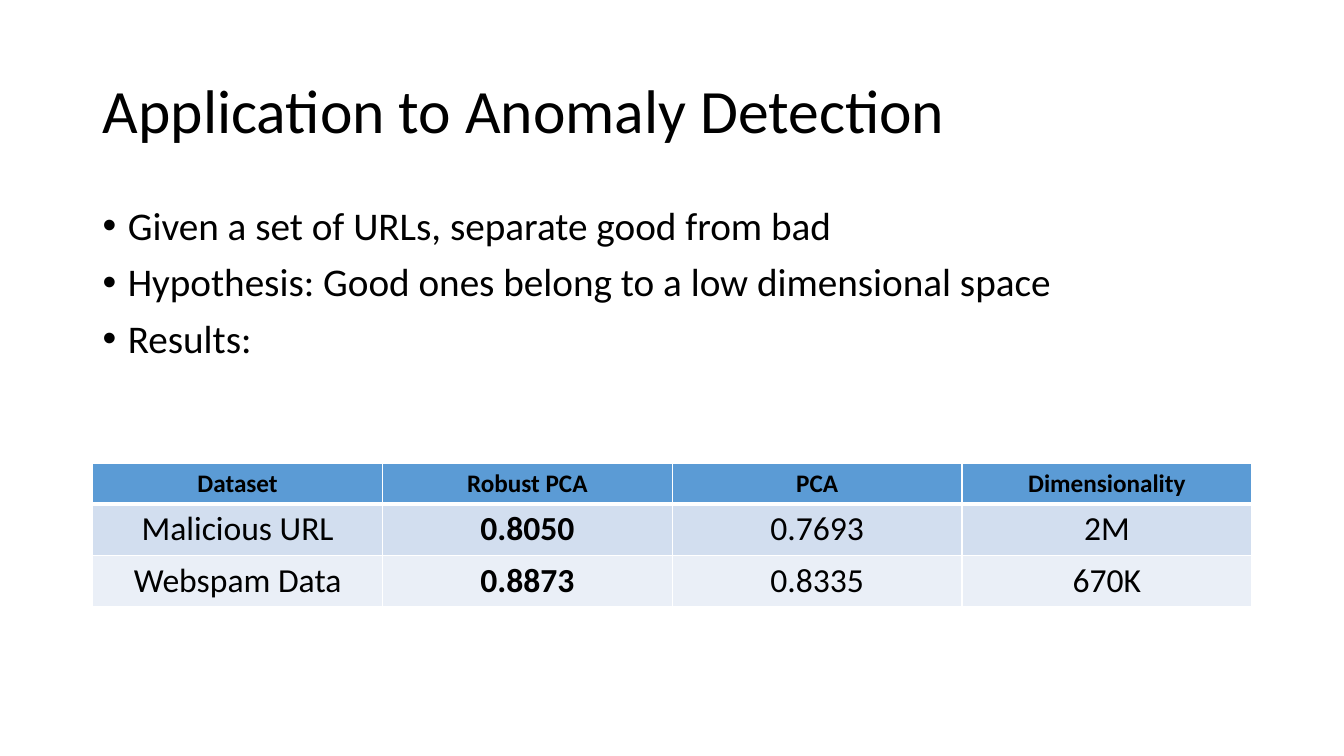
from dataclasses import dataclass
from lxml.etree import SubElement
from pptx import Presentation
from pptx.dml.color import RGBColor
from pptx.enum.text import MSO_ANCHOR, MSO_AUTO_SIZE, PP_ALIGN
from pptx.oxml.ns import qn
from pptx.util import Pt

TITLE = "Application to Anomaly Detection"
POINTS = [
    "Given a set of URLs, separate good from bad",
    "Hypothesis: Good ones belong to a low dimensional space",
    "Results:",
]
ROWS = [
    ("Dataset", "Robust PCA", "PCA", "Dimensionality"),
    ("Malicious URL", "0.8050", "0.7693", "2M"),
    ("Webspam Data", "0.8873", "0.8335", "670K"),
]
BEST = 1


@dataclass(frozen=True)
class Theme:
    face: str = "Calibri"
    ink: str = "000000"
    rule: str = "FFFFFF"
    fills: tuple = ("5B9BD5", "D2DEEF", "EAEFF7")
    title: int = 44
    body: int = 28
    head: int = 18
    cell: int = 24


THEME = Theme()
LEFT, WIDTH = 66.24, 828
HEIGHTS = (28.8, 36.5, 36.5)


def style(para, size, bold=False, align=PP_ALIGN.LEFT):
    para.alignment = align
    font = para.font
    font.name, font.size, font.bold = THEME.face, Pt(size), bold
    font.color.rgb = RGBColor.from_string(THEME.ink)


def bullet(para):
    props = para._p.get_or_add_pPr()
    props.set("marL", str(Pt(18)))
    props.set("indent", str(Pt(-18)))
    SubElement(props, qn("a:buFont"), typeface="Arial")
    SubElement(props, qn("a:buChar"), char="•")


def border(cell, base):
    props = cell._tc.get_or_add_tcPr()
    for side, width in (("L", 1), ("R", 1), ("T", 1), ("B", base)):
        line = SubElement(props, qn("a:ln" + side), w=str(Pt(width)))
        fill = SubElement(line, qn("a:solidFill"))
        SubElement(fill, qn("a:srgbClr"), val=THEME.rule)


def add_title(slide):
    title = slide.shapes.title
    title.left, title.top = Pt(LEFT), Pt(28.8)
    title.width, title.height = Pt(WIDTH), Pt(104.4)
    frame = title.text_frame
    frame.text = TITLE
    frame.auto_size = MSO_AUTO_SIZE.NONE
    frame.vertical_anchor = MSO_ANCHOR.MIDDLE
    para = frame.paragraphs[0]
    para.line_spacing = 0.9
    style(para, THEME.title)


def add_points(slide):
    box = slide.shapes.add_textbox(Pt(LEFT), Pt(144), Pt(WIDTH), Pt(342.7))
    frame = box.text_frame
    frame.word_wrap = True
    frame.text = "\n".join(POINTS)
    for para in frame.paragraphs:
        para.line_spacing = 0.9
        para.space_before = Pt(10)
        bullet(para)
        style(para, THEME.body)


def add_results(slide):
    table = slide.shapes.add_table(
        len(ROWS), len(ROWS[0]), Pt(LEFT), Pt(331.2), Pt(WIDTH), Pt(sum(HEIGHTS))
    ).table
    for r, (texts, height) in enumerate(zip(ROWS, HEIGHTS)):
        table.rows[r].height = Pt(height)
        head = r == 0
        for c, text in enumerate(texts):
            cell = table.cell(r, c)
            cell.text = text
            border(cell, 3 if head else 1)
            cell.fill.solid()
            cell.fill.fore_color.rgb = RGBColor.from_string(THEME.fills[r])
            size = THEME.head if head else THEME.cell
            style(cell.text_frame.paragraphs[0], size, head or c == BEST, PP_ALIGN.CENTER)


def main():
    deck = Presentation()
    deck.slide_width, deck.slide_height = Pt(960), Pt(540)
    slide = deck.slides.add_slide(deck.slide_layouts[5])
    add_title(slide)
    add_points(slide)
    add_results(slide)
    deck.save("out.pptx")


if __name__ == "__main__":
    main()
